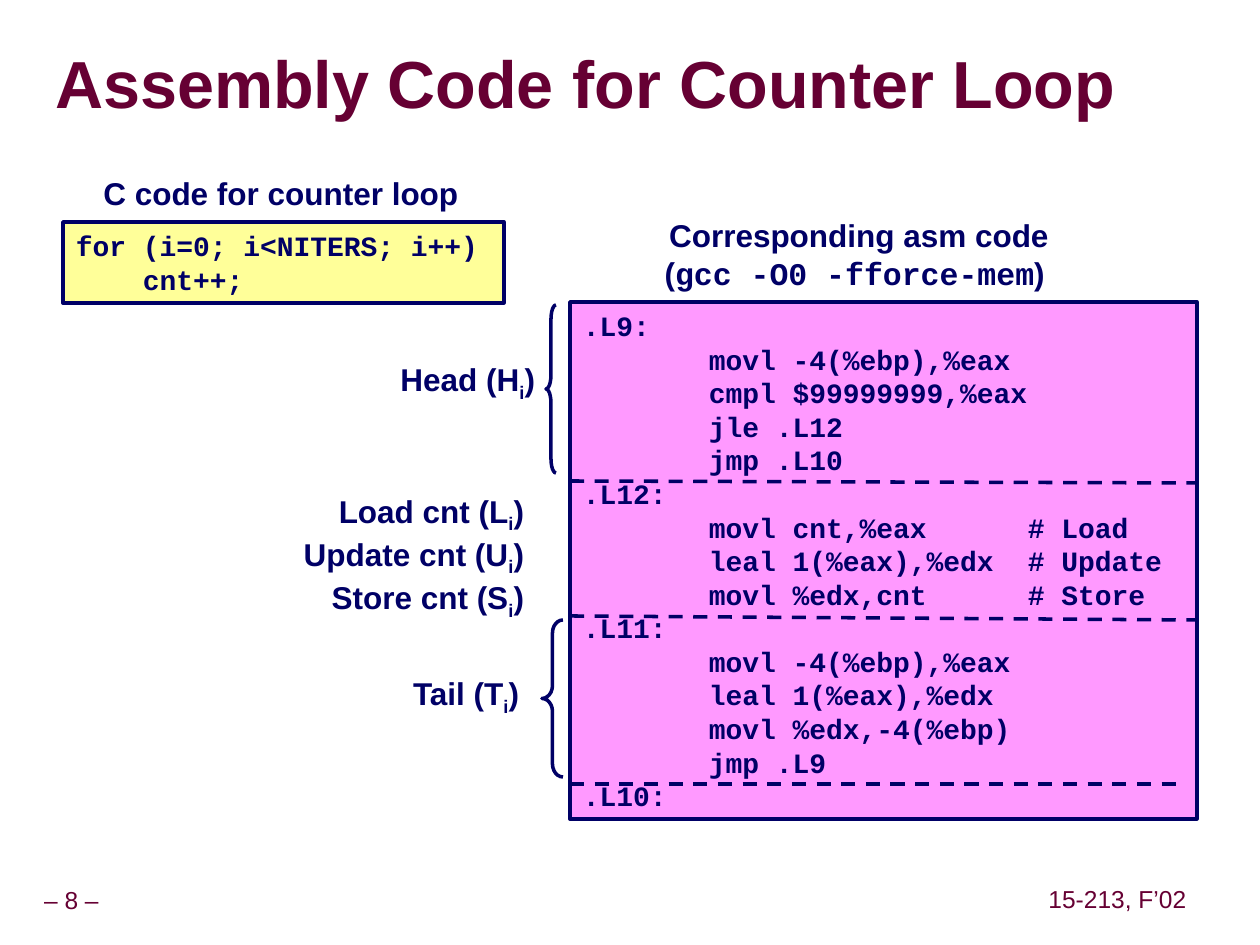
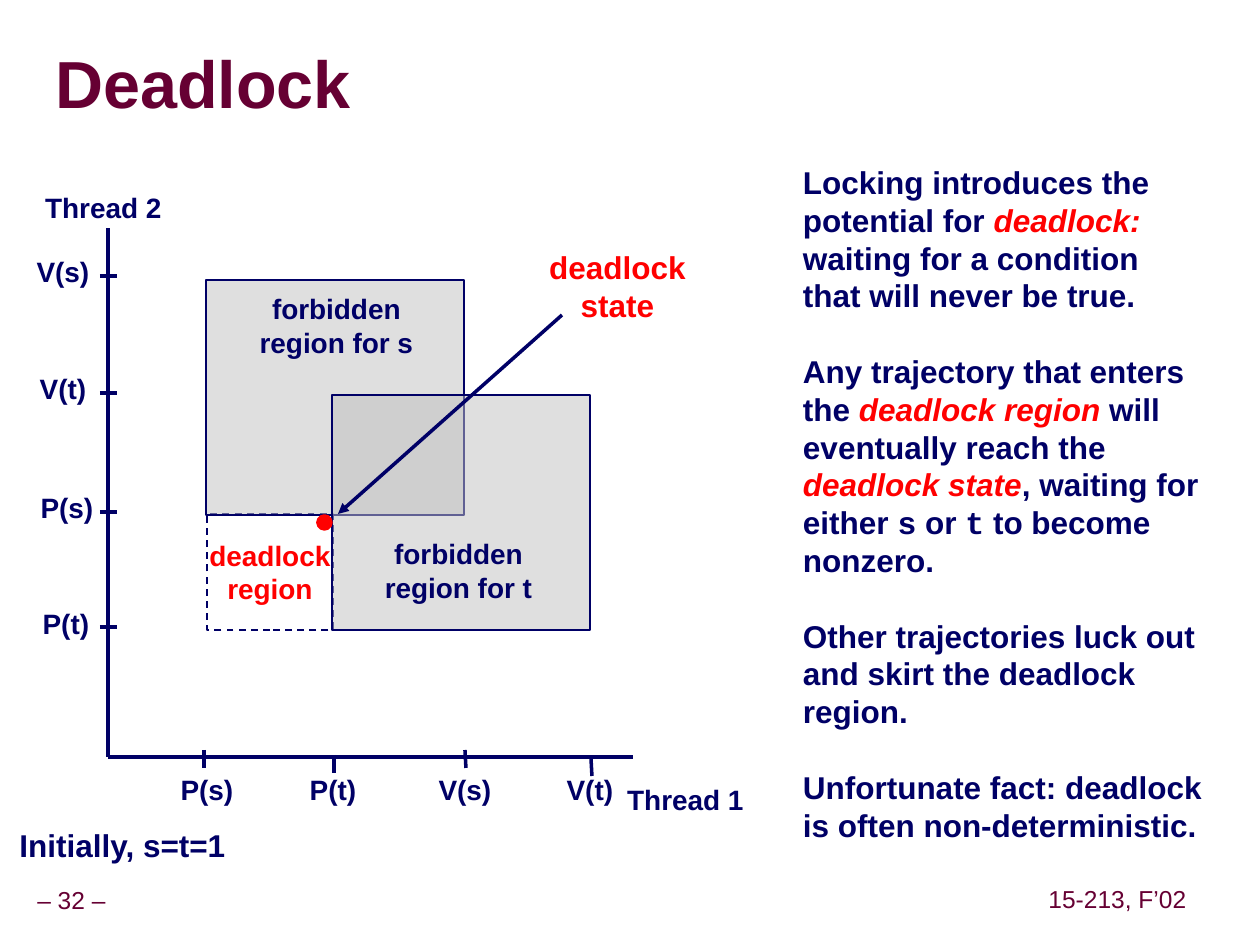
import pptx
import pptx.util
import pptx.dml.color
import pptx.enum.dml
import pptx.enum.shapes
import pptx.enum.text
import pptx.oxml.ns
from lxml import etree

SCALE = 914400 / 126
NAVY, WINE, RED = "000066", "660033", "FF0000"
PINK, YELLOW, GRAY, WHITE = "FF99FF", "FFFF99", "C0C0C0", "FFFFFF"
MONO = "Courier New"
BASE = {"name": "Arial", "size": 18, "bold": True, "italic": False, "color": NAVY}
SMALL = {"size": 16}
CODE = {"size": 16, "name": MONO}
HOT = {"color": RED, "italic": True}
ALIGN = pptx.enum.text.PP_ALIGN
ANCHOR = pptx.enum.text.MSO_ANCHOR
FORM = pptx.enum.shapes.MSO_SHAPE
DASH = pptx.enum.dml.MSO_LINE.DASH


def px(count):
    return pptx.util.Emu(round(count * SCALE))


def hue(code):
    return pptx.dml.color.RGBColor.from_string(code)


def assign(target, values):
    for key, value in values.items():
        setattr(target, key, value)


def child(parent, tag, **attrs):
    node = etree.SubElement(parent, pptx.oxml.ns.qn(tag))
    for key, value in attrs.items():
        node.set(key, str(value))
    return node


def place(shape, box):
    assign(shape, dict(zip(("left", "top", "width", "height"), map(px, box))))


def font(target, look):
    values = {key: look[key] for key in ("name", "bold", "italic")}
    assign(target, values | {"size": pptx.util.Pt(look["size"])})
    target.color.rgb = hue(look["color"])


def write(shape, paras, look=None, align=ALIGN.CENTER, pad=(13, 6), wrap=False,
          anchor=ANCHOR.MIDDLE, pitch=None, gap=0, tabs=(), plain=False):
    look = BASE | (look or {})
    frame = shape.text_frame
    assign(frame, {
        "word_wrap": wrap,
        "auto_size": pptx.enum.text.MSO_AUTO_SIZE.NONE,
        "vertical_anchor": anchor,
        "margin_left": px(pad[0]), "margin_right": px(pad[0]),
        "margin_top": px(pad[1]), "margin_bottom": px(pad[1]),
    })
    for index, parts in enumerate(paras):
        para = frame.add_paragraph() if index else frame.paragraphs[0]
        props = para._p.get_or_add_pPr()
        if plain:
            props.set("marL", "0")
            props.set("indent", "0")
            child(props, "a:buNone")
        if tabs:
            stops = child(props, "a:tabLst")
            for stop in tabs:
                child(stops, "a:tab", pos=px(stop), algn="l")
        assign(para, {
            "alignment": align,
            "line_spacing": pitch or pptx.util.Pt(look["size"] * 1.2),
            "space_before": pptx.util.Pt(gap if index else 0),
        })
        for part in [parts] if isinstance(parts, str) else parts:
            words, extra = (part, {}) if isinstance(part, str) else part
            run = para.add_run()
            run.text = words
            font(run.font, look | extra)
            if "base" in extra:
                run._r.get_or_add_rPr().set("baseline", str(extra["base"]))


def label(slide, box, paras, look=None, **layout):
    shape = slide.shapes.add_textbox(*map(px, box))
    write(shape, paras, look, **layout)


def block(slide, box, fill, edge=NAVY, width=2, form=FORM.RECTANGLE, dash=None, alpha=None):
    shape = slide.shapes.add_shape(form, *map(px, box))
    shape.shadow.inherit = False
    if fill:
        shape.fill.solid()
        shape.fill.fore_color.rgb = hue(fill)
    else:
        shape.fill.background()
    if alpha:
        tint = shape._element.spPr.find(".//" + pptx.oxml.ns.qn("a:srgbClr"))
        child(tint, "a:alpha", val=alpha * 1000)
    shape.line.color.rgb = hue(edge)
    assign(shape.line, {"width": pptx.util.Pt(width), "dash_style": dash})
    return shape


def brace(slide, box, curve):
    shape = block(slide, box, None, form=FORM.LEFT_BRACE)
    shape.adjustments[0] = curve / box[2]


def line(slide, ends, dash=None, arrow=False):
    kind = pptx.enum.shapes.MSO_CONNECTOR.STRAIGHT
    link = slide.shapes.add_connector(kind, *map(px, ends))
    link.line.color.rgb = hue(NAVY)
    assign(link.line, {"width": pptx.util.Pt(2), "dash_style": dash})
    props = link._element.spPr
    if arrow:
        child(props.find(pptx.oxml.ns.qn("a:ln")), "a:tailEnd", type="triangle")
    child(props, "a:effectLst")


def title(slide, words):
    shape = slide.shapes.title
    place(shape, (55, 34, 1201, 107))
    write(shape, [words], {"size": 38, "color": WINE}, align=ALIGN.LEFT,
          pad=(0, 0), wrap=True, pitch=0.87)
    props = shape.text_frame.paragraphs[0].runs[0]._r.get_or_add_rPr()
    effect = child(props, "a:effectLst")
    shade = child(effect, "a:outerShdw", dist=50800, dir=2700000)
    child(shade, "a:srgbClr", val="969696")
    props.find(pptx.oxml.ns.qn("a:solidFill")).addnext(effect)


def start(deck, layout, words, number):
    slide = deck.slides.add_slide(deck.slide_layouts[layout])
    title(slide, words)
    foot = {"size": 14, "bold": False, "color": WINE}
    for box, text in (((-11, 882, 165, 39), f"– {number} –"),
                      ((1042, 881, 151, 39), "15-213, F’02")):
        label(slide, box, [text], foot, pad=(6, 6), pitch=0.9)
    return slide


def stage(name, letter):
    return [f"{name} ({letter}", ("i", {"base": -25000}), ")"]


def loop(deck):
    slide = start(deck, 5, "Assembly Code for Counter Loop", 8)
    label(slide, (53, 168, 456, 50), ["C code for counter loop"])
    source = block(slide, (63, 222, 441, 81), YELLOW)
    write(source, ["for (i=0; i<NITERS; i++)", "    cnt++;"], CODE, align=ALIGN.LEFT)
    label(slide, (616, 210, 486, 88),
          ["Corresponding asm code", ["(", ("gcc -O0 -fforce-mem", {"name": MONO}), ") "]])
    listing = block(slide, (570, 302, 627, 517), PINK)
    write(listing, [
        ".L9:", "\tmovl -4(%ebp),%eax", "\tcmpl $99999999,%eax", "\tjle .L12", "\tjmp .L10",
        ".L12:", "\tmovl cnt,%eax\t# Load", "\tleal 1(%eax),%edx\t# Update",
        "\tmovl %edx,cnt\t# Store",
        ".L11:", "\tmovl -4(%ebp),%eax", "\tleal 1(%eax),%edx", "\tmovl %edx,-4(%ebp)",
        "\tjmp .L9", ".L10:",
    ], CODE, align=ALIGN.LEFT, wrap=True, tabs=(126, 445))
    for ends in ((570, 481, 1197, 483), (570, 616, 1197, 620), (570, 784, 1178, 784)):
        line(slide, ends, dash=DASH)
    brace(slide, (546, 305, 10, 168), 14)
    brace(slide, (542, 620, 21, 157), 13)
    steps = [stage("Load cnt", "L"), stage("Update cnt", "U"), stage("Store cnt", "S")]
    for box, paras in (((388, 354, 160, 55), [stage("Head", "H")]),
                       ((291, 485, 246, 142), steps),
                       ((398, 668, 134, 55), [stage("Tail", "T")])):
        label(slide, box, paras, align=ALIGN.RIGHT, pitch=pptx.util.Pt(24.6))


def graph(slide):
    region = block(slide, (207, 514, 126, 116), WHITE, width=1, dash=DASH)
    write(region, ["deadlock", "region"], SMALL | {"color": RED}, pad=(13, 0))
    for ends in ((108, 757, 108, 228), (108, 757, 633, 757)):
        line(slide, ends)
    for left, top, lean, mid, text in ((204, 750, 0, 207, "P(s)"), (334, 755, 0, 333, "P(t)"),
                                       (465, 750, 1, 465, "V(s)"), (591, 758, 1, 590, "V(t)")):
        line(slide, (left, top, left + lean, top + 18))
        label(slide, (mid - 39, 766, 78, 47), [text], SMALL)
    for tick, mid, top, text in ((276, 63, 248, "V(s)"), (393, 63, 365, "V(t)"),
                                 (512, 67, 484, "P(s)"), (627, 66, 600, "P(t)")):
        line(slide, (100, tick, 117, tick))
        label(slide, (mid - 39, top, 78, 47), [text], SMALL)
    for box, text in (((615, 776, 141, 47), "Thread 1"), ((33, 184, 141, 47), "Thread 2")):
        label(slide, box, [text], SMALL)
    for corner, spot, name in (((206, 280), (247, 292, 179, 67), "s"),
                               ((332, 395), (372, 537, 173, 67), "t")):
        block(slide, (*corner, 258, 235), GRAY, width=1, alpha=50)
        label(slide, spot, ["forbidden", f"region for {name}"], SMALL, pad=(13, 0))
    block(slide, (318, 516, 13, 13), RED, edge=RED, form=FORM.OVAL)
    label(slide, (537, 248, 161, 76), ["deadlock", "state"], {"color": RED}, pad=(13, 0))
    line(slide, (562, 315, 338, 514), arrow=True)
    label(slide, (6, 826, 233, 38), ["Initially, s=t=1"], pad=(13, 0))


def lock(deck):
    slide = start(deck, 1, "Deadlock", 32)
    graph(slide)
    body = slide.placeholders[1]
    place(body, (790, 163, 428, 680))
    write(body, [
        ["Locking introduces the potential for ", ("deadlock:", HOT),
         " waiting for a condition that will never be true."],
        ["Any trajectory that enters the ", ("deadlock region", HOT),
         " will eventually reach the ", ("deadlock state", HOT), ", waiting for either ",
         ("s", {"name": MONO}), " or ", ("t", {"name": MONO}), " to become nonzero."],
        "Other trajectories luck out and skirt the deadlock region.",
        "Unfortunate fact: deadlock is often non-deterministic.",
    ], align=ALIGN.LEFT, pad=(13, 0), wrap=True, anchor=ANCHOR.TOP, gap=21.6, plain=True)


def main():
    deck = pptx.Presentation()
    assign(deck, {"slide_width": px(1260), "slide_height": px(945)})
    loop(deck)
    lock(deck)
    deck.save("out.pptx")


if __name__ == "__main__":
    main()
